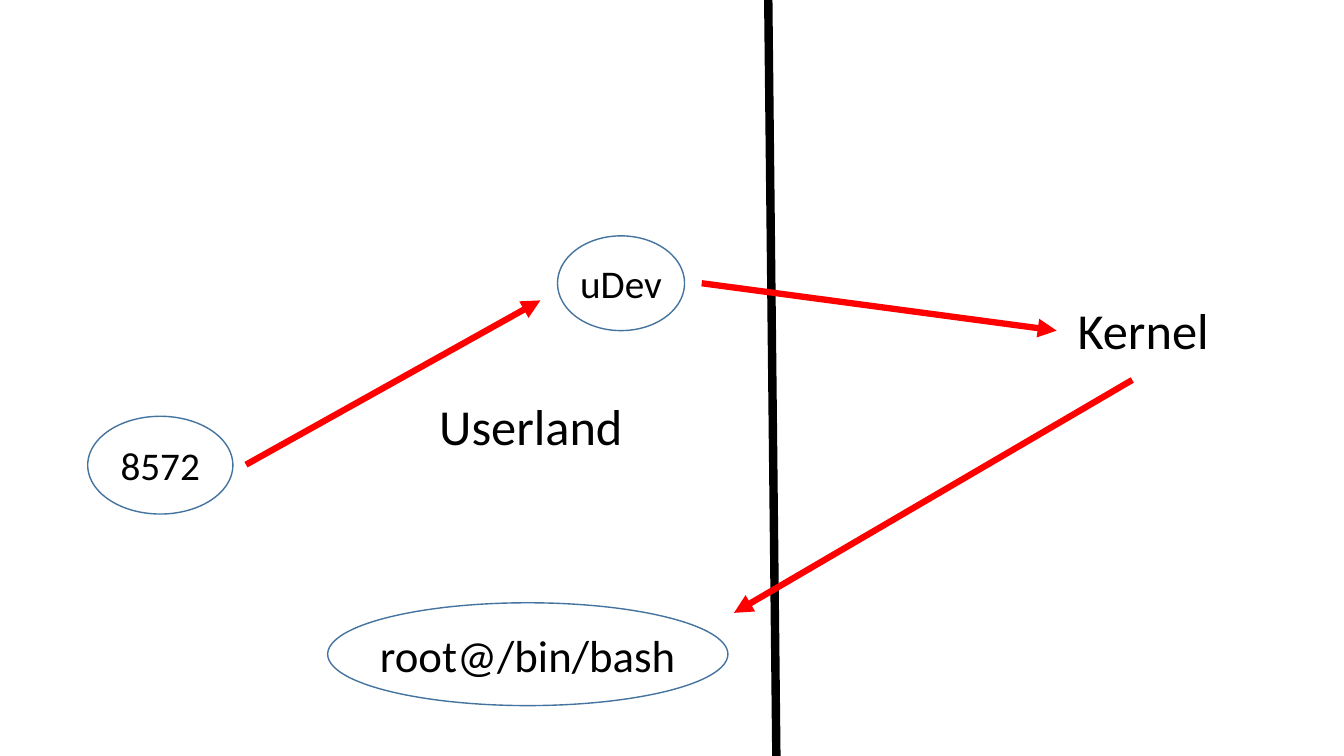
from lxml import etree
from pptx import Presentation
from pptx.dml.color import RGBColor
from pptx.enum.shapes import MSO_CONNECTOR, MSO_SHAPE
from pptx.enum.text import MSO_ANCHOR, PP_ALIGN
from pptx.oxml.ns import qn
from pptx.util import Inches, Pt

STRAIGHT = MSO_CONNECTOR.STRAIGHT
OVAL = MSO_SHAPE.OVAL
MIDDLE, TOP = MSO_ANCHOR.MIDDLE, MSO_ANCHOR.TOP
CENTER, LEFT = PP_ALIGN.CENTER, PP_ALIGN.LEFT


def rgb(value):
    return RGBColor.from_string(value)


def write(frame, text, size, font="Calibri", color="000000", align=LEFT,
          anchor=TOP, wrap=True, spacing=1.0):
    frame.word_wrap = wrap
    frame.vertical_anchor = anchor
    paragraph = frame.paragraphs[0]
    paragraph.alignment = align
    paragraph.line_spacing = spacing
    run = paragraph.add_run()
    run.text = text
    run.font.name = font
    run.font.size = Pt(size)
    run.font.color.rgb = rgb(color)


class Diagram:
    """Draws labels, processes and lines on one slide in a shared style."""

    outline = "43739E"
    flow = "FF0000"
    boundary = "000000"

    def __init__(self, slide):
        self.shapes = slide.shapes

    def label(self, text, box, **style):
        area = self.shapes.add_textbox(*map(Inches, box))
        write(area.text_frame, text, 36, **style)

    def process(self, text, box, size):
        oval = self.shapes.add_shape(OVAL, *map(Inches, box))
        oval.shadow.inherit = False
        oval.fill.background()
        oval.line.color.rgb = rgb(self.outline)
        oval.line.width = Pt(1)
        write(oval.text_frame, text, size, align=CENTER, anchor=MIDDLE, wrap=False)

    def line(self, start, end, color, width):
        connector = self.shapes.add_connector(STRAIGHT, *map(Inches, start + end))
        connector.line.color.rgb = rgb(color)
        connector.line.width = Pt(width)
        etree.SubElement(connector._element.spPr, qn("a:effectLst"))
        return connector

    def divider(self, start, end):
        self.line(start, end, self.boundary, 6)

    def arrow(self, start, end):
        connector = self.line(start, end, self.flow, 4.5)
        etree.SubElement(connector.line._get_or_add_ln(), qn("a:tailEnd"), type="triangle")


presentation = Presentation()
presentation.slide_width = Inches(13.33)
presentation.slide_height = Inches(7.5)
diagram = Diagram(presentation.slides.add_slide(presentation.slide_layouts[6]))

diagram.label("Userland", (1.67, 3.94, 7.19, 1.87), align=CENTER, spacing=0.9)
diagram.label("Kernel", (10.59, 2.92, 1.89, 0.71))
diagram.divider((7.62, 0), (7.7, 7.5))

processes = [
    ("uDev", (5.53, 2.34, 1.26, 0.94), 28),
    ("8572", (0.87, 4.13, 1.44, 0.97), 28),
    ("root@/bin/bash", (3.25, 5.98, 3.97, 1.02), 32),
]
for name, box, size in processes:
    diagram.process(name, box, size)

exploit_steps = [
    ((2.44, 4.61), (5.36, 2.98)),
    ((6.96, 2.81), (10.48, 3.28)),
    ((11.23, 3.77), (7.28, 6.08)),
]
for start, end in exploit_steps:
    diagram.arrow(start, end)

presentation.save("out.pptx")
